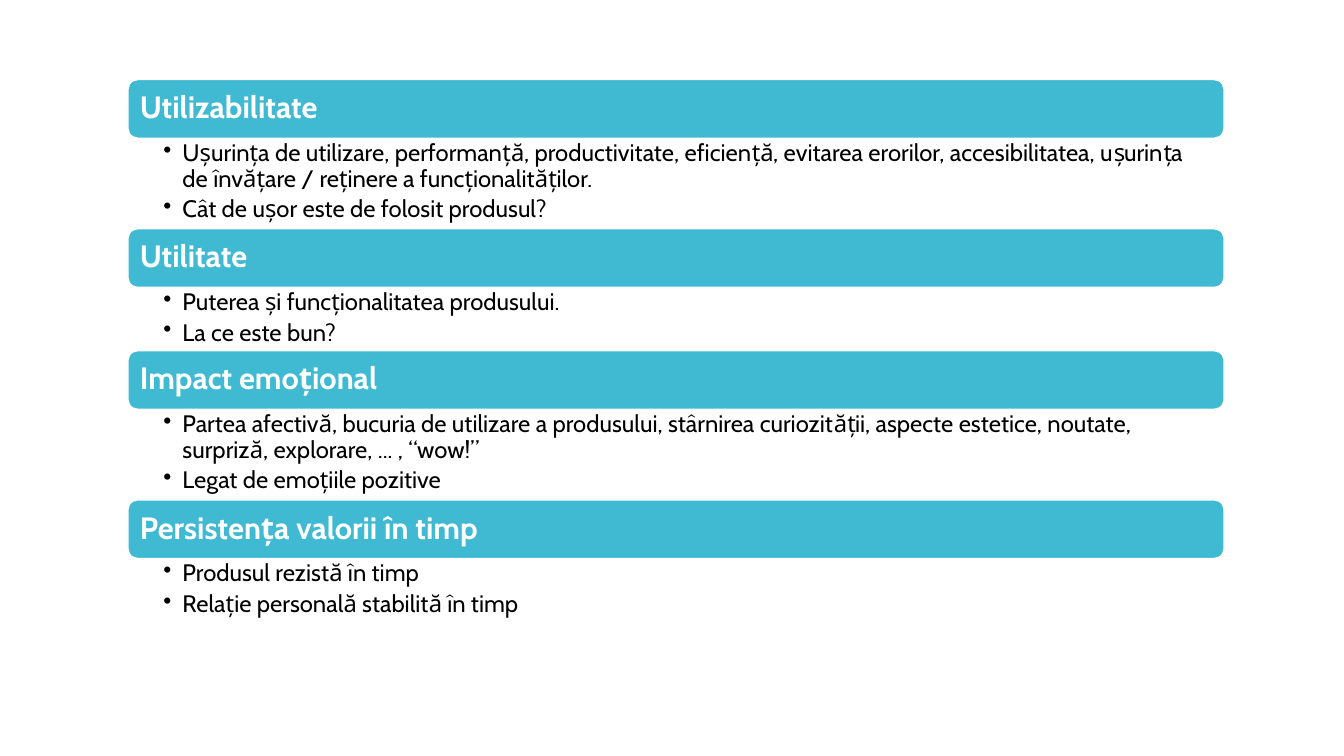
from lxml.etree import SubElement
from pptx import Presentation
from pptx.dml.color import RGBColor
from pptx.enum.shapes import MSO_SHAPE as Shape
from pptx.enum.text import MSO_ANCHOR as Anchor, PP_ALIGN as Align
from pptx.oxml.ns import qn
from pptx.util import Inches, Pt

LEFT, TOP, WIDTH = 1.27, 0.79, 10.87
BAR = 0.58
INDENT = 0.19

# title, height of the list below it, list items
TOPICS = [
    ("Utilizabilitate", 0.9, [
        "Ușurința de utilizare, performanță, productivitate, eficiență, evitarea "
        "erorilor, accesibilitatea, ușurința de învățare / reținere a funcționalităților.",
        "Cât de ușor este de folosit produsul?"]),
    ("Utilitate", 0.63, [
        "Puterea și funcționalitatea produsului.",
        "La ce este bun?"]),
    ("Impact emoțional", 0.9, [
        "Partea afectivă, bucuria de utilizare a produsului, stârnirea curiozității, "
        "aspecte estetice, noutate, surpriză, explorare, ... , “wow!”",
        "Legat de emoțiile pozitive"]),
    ("Persistența valorii în timp", 0.63, [
        "Produsul rezistă în timp",
        "Relație personală stabilită în timp"]),
]


def color(code):
    return RGBColor.from_string(code)


def set_frame(frame, anchor, left, top, right, bottom):
    """Wrap the text, anchor it and set the insets in inches."""
    frame.word_wrap = True
    frame.vertical_anchor = anchor
    frame.margin_left, frame.margin_right = Inches(left), Inches(right)
    frame.margin_top, frame.margin_bottom = Inches(top), Inches(bottom)


def style(para, size, code, bold=False):
    para.alignment = Align.LEFT
    para.line_spacing = 0.9
    for run in para.runs:
        font = run.font
        font.name, font.size, font.bold = "Cabin", Pt(size), bold
        font.color.rgb = color(code)


def add_bullet(para):
    props = para._p.get_or_add_pPr()
    props.set("marL", str(Inches(INDENT)))
    props.set("indent", str(-Inches(INDENT)))
    SubElement(props, qn("a:buChar")).set("char", "•")


def add_bar(slide, top, title):
    bar = slide.shapes.add_shape(Shape.ROUNDED_RECTANGLE, Inches(LEFT),
                                 Inches(top), Inches(WIDTH), Inches(BAR))
    bar.shadow.inherit = False
    bar.fill.solid()
    bar.fill.fore_color.rgb = color("40BAD2")
    bar.line.color.rgb = color("FFFFFF")
    bar.line.width = Pt(0.85)
    frame = bar.text_frame
    set_frame(frame, Anchor.MIDDLE, 0.09, 0.09, 0.09, 0.09)
    frame.text = title
    style(frame.paragraphs[0], 22, "FFFFFF", True)


def add_list(slide, top, height, items):
    box = slide.shapes.add_textbox(Inches(LEFT), Inches(top),
                                   Inches(WIDTH), Inches(height))
    frame = box.text_frame
    set_frame(frame, Anchor.TOP, 0.35, 0.03, 0.17, 0.03)
    frame.text = "\n".join(items)
    for para in frame.paragraphs:
        para.level = 1
        add_bullet(para)
        para.space_after = Pt(3.4)
        style(para, 17, "000000")


def main():
    deck = Presentation()
    deck.slide_width, deck.slide_height = Inches(13.33), Inches(7.5)
    slide = deck.slides.add_slide(deck.slide_layouts[6])
    top = TOP
    for title, height, items in TOPICS:
        add_bar(slide, top, title)
        add_list(slide, top + BAR, height, items)
        top += BAR + height
    deck.save("out.pptx")


if __name__ == "__main__":
    main()
